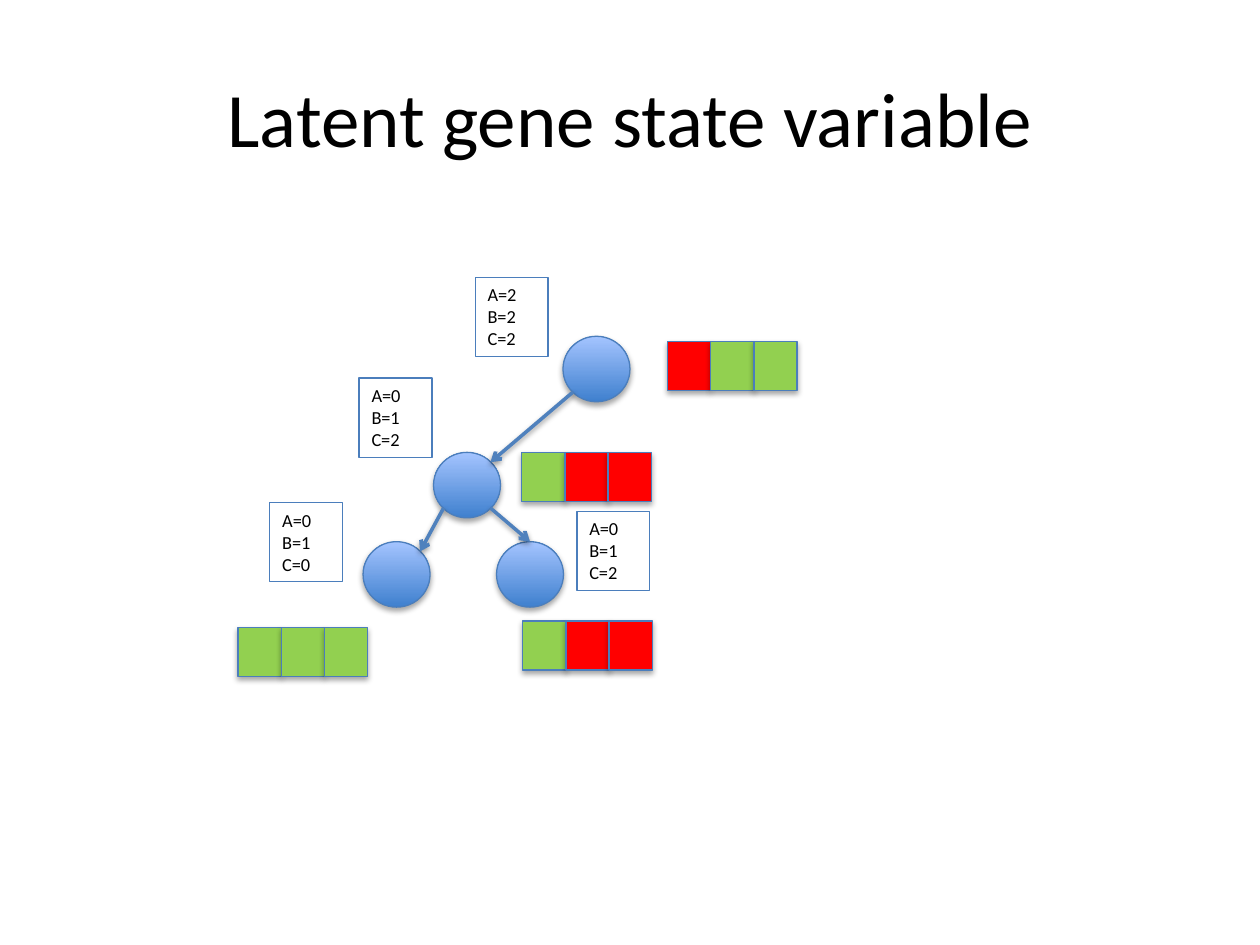
from lxml.etree import SubElement
from pptx import Presentation
from pptx.dml.color import RGBColor
from pptx.enum.shapes import MSO_CONNECTOR, MSO_SHAPE
from pptx.enum.text import MSO_ANCHOR, PP_ALIGN
from pptx.oxml.ns import qn
from pptx.util import Cm, Pt

BLACK = RGBColor(0x00, 0x00, 0x00)
EDGE = RGBColor(0x4B, 0x7E, 0xBC)
ARROW = RGBColor(0x4F, 0x81, 0xBD)
DARK = RGBColor(0x3F, 0x80, 0xCE)
LIGHT = RGBColor(0xA4, 0xC4, 0xFF)
GREEN = RGBColor(0x92, 0xD0, 0x50)
RED = RGBColor(0xFF, 0x00, 0x00)

NODE_W, NODE_H = 1.35, 1.32
CELL_W, CELL_H = 0.87, 0.99
NODES = {
    "root": (11.35, 6.78),
    "inner": (8.74, 9.12),
    "left": (7.32, 10.92),
    "right": (10.01, 10.92),
}
SITES = {"top": (0.5, 0), "NE": (0.85, 0.15), "SW": (0.15, 0.85), "SE": (0.85, 0.85)}
EDGES = [
    ("inner", "SW", "left", "NE"),
    ("inner", "SE", "right", "top"),
    ("root", "SW", "inner", "NE"),
]
STATES = [
    (9.58, 5.59, (2, 2, 2)),
    (7.24, 7.62, (0, 1, 2)),
    (5.44, 10.13, (0, 1, 0)),
    (11.63, 10.31, (0, 1, 2)),
]
STRIPS = [
    (4.8, 12.65, (GREEN, GREEN, GREEN)),
    (10.54, 12.52, (GREEN, RED, RED)),
    (10.52, 9.12, (GREEN, RED, RED)),
    (13.46, 6.88, (RED, GREEN, GREEN)),
]


def assign(item, values):
    for name, value in values.items():
        setattr(item, name, value)


def add_shadow(holder, dist, alpha):
    shadow = SubElement(holder, qn("a:outerShdw"), blurRad="40000", dist=str(dist),
                        dir="5400000", rotWithShape="0")
    color = SubElement(shadow, qn("a:srgbClr"), val=str(BLACK))
    SubElement(color, qn("a:alpha"), val=str(alpha))


def add_form(slide, kind, left, top, width, height):
    form = slide.shapes.add_shape(kind, Cm(left), Cm(top), Cm(width), Cm(height))
    form.line.color.rgb = EDGE
    form.line.width = Pt(0.75)
    form.shadow.inherit = False
    return form


def shade(form):
    add_shadow(form.element.spPr.find(qn("a:effectLst")), 23000, 35000)


def write(frame, lines, size, align):
    frame.text = "\n".join(lines)
    for para in frame.paragraphs:
        para.alignment = align
        assign(para.runs[0].font, {"name": "Calibri", "size": Pt(size)})
        para.runs[0].font.color.rgb = BLACK


def add_title(slide, text):
    box = slide.shapes.add_textbox(Cm(1.27), Cm(0.76), Cm(22.86), Cm(3.18))
    assign(box.text_frame, {"word_wrap": True, "vertical_anchor": MSO_ANCHOR.MIDDLE})
    write(box.text_frame, [text], 44, PP_ALIGN.CENTER)


def add_node(slide, left, top):
    node = add_form(slide, MSO_SHAPE.OVAL, left, top, NODE_W, NODE_H)
    node.fill.gradient()
    node.fill.gradient_angle = 90
    for stop, place, color in zip(node.fill.gradient_stops, (0, 1), (DARK, LIGHT)):
        stop.position = place
        stop.color.rgb = color
    shade(node)


def find_site(node, site):
    (left, top), (across, down) = NODES[node], SITES[site]
    return Cm(left + across * NODE_W), Cm(top + down * NODE_H)


def add_arrow(slide, start, leave, end, enter):
    arrow = slide.shapes.add_connector(
        MSO_CONNECTOR.STRAIGHT, *find_site(start, leave), *find_site(end, enter))
    arrow.line.color.rgb = ARROW
    arrow.line.width = Pt(2)
    props = arrow.element.spPr
    SubElement(props.find(qn("a:ln")), qn("a:tailEnd"), type="arrow")
    add_shadow(SubElement(props, qn("a:effectLst")), 20000, 38000)


def add_state(slide, left, top, values):
    box = add_form(slide, MSO_SHAPE.RECTANGLE, left, top, 1.47, 1.6)
    box.fill.background()
    assign(box.text_frame, {"word_wrap": True, "vertical_anchor": MSO_ANCHOR.TOP})
    lines = [f"{gene}={value}" for gene, value in zip("ABC", values)]
    write(box.text_frame, lines, 10.5, PP_ALIGN.LEFT)


def add_strip(slide, left, top, colors):
    for index, color in enumerate(colors):
        cell = add_form(slide, MSO_SHAPE.RECTANGLE, left + index * CELL_W, top,
                        CELL_W, CELL_H)
        cell.fill.solid()
        cell.fill.fore_color.rgb = color
        shade(cell)


def main():
    deck = Presentation()
    assign(deck, {"slide_width": Cm(25.4), "slide_height": Cm(19.05)})
    slide = deck.slides.add_slide(deck.slide_layouts[6])
    add_title(slide, "Latent gene state variable")
    for place in NODES.values():
        add_node(slide, *place)
    for edge in EDGES:
        add_arrow(slide, *edge)
    for state in STATES:
        add_state(slide, *state)
    for strip in STRIPS:
        add_strip(slide, *strip)
    deck.save("out.pptx")


if __name__ == "__main__":
    main()
